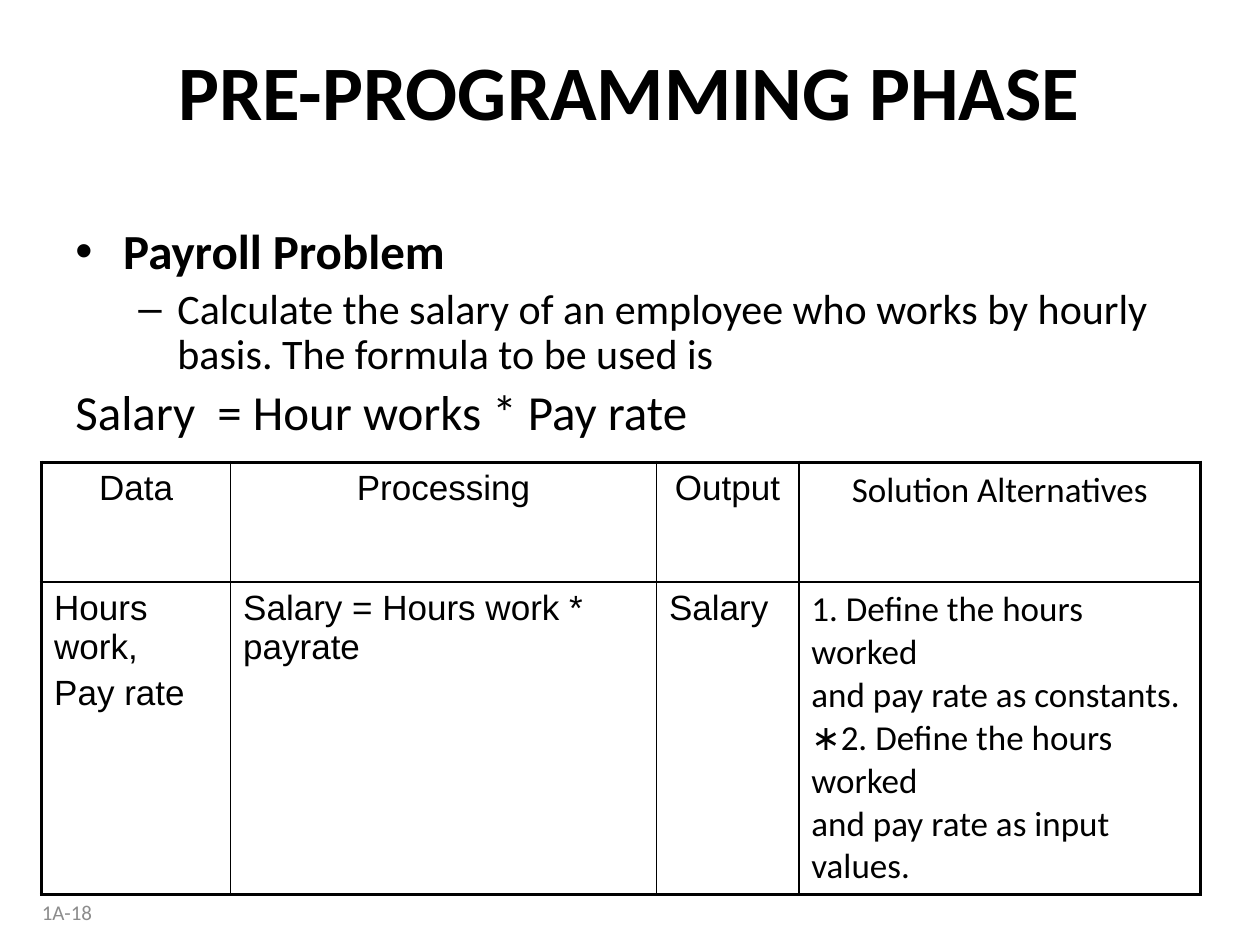
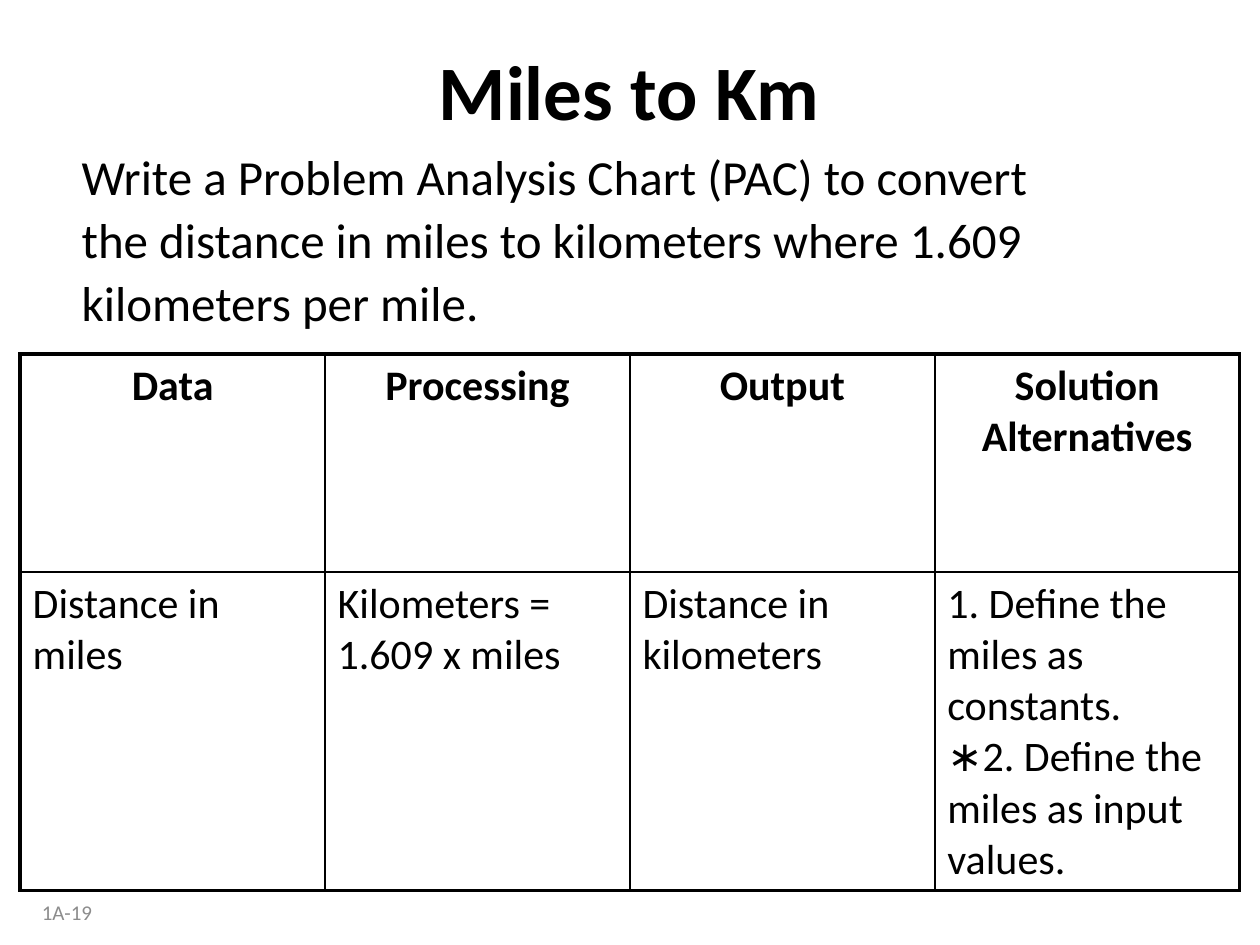
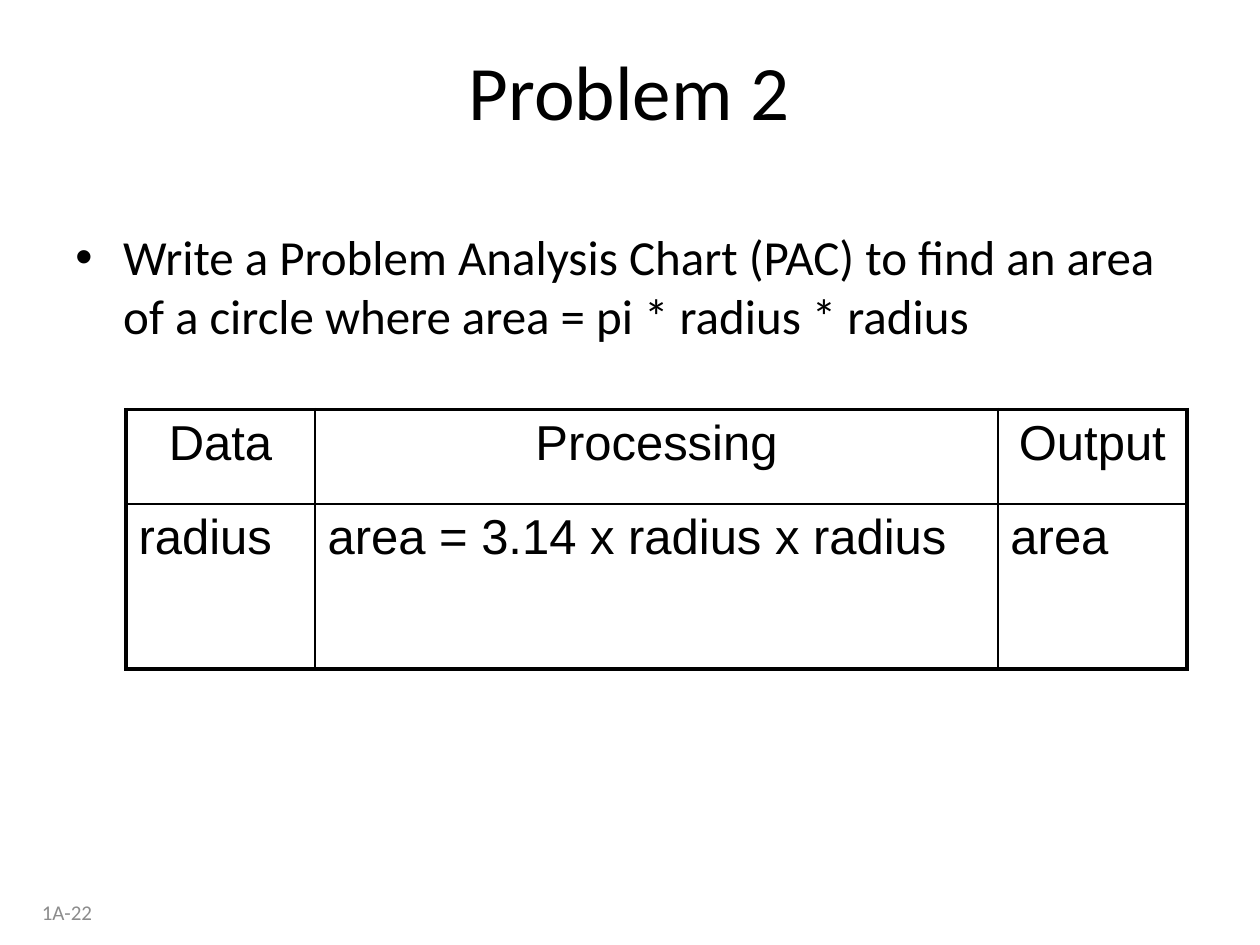
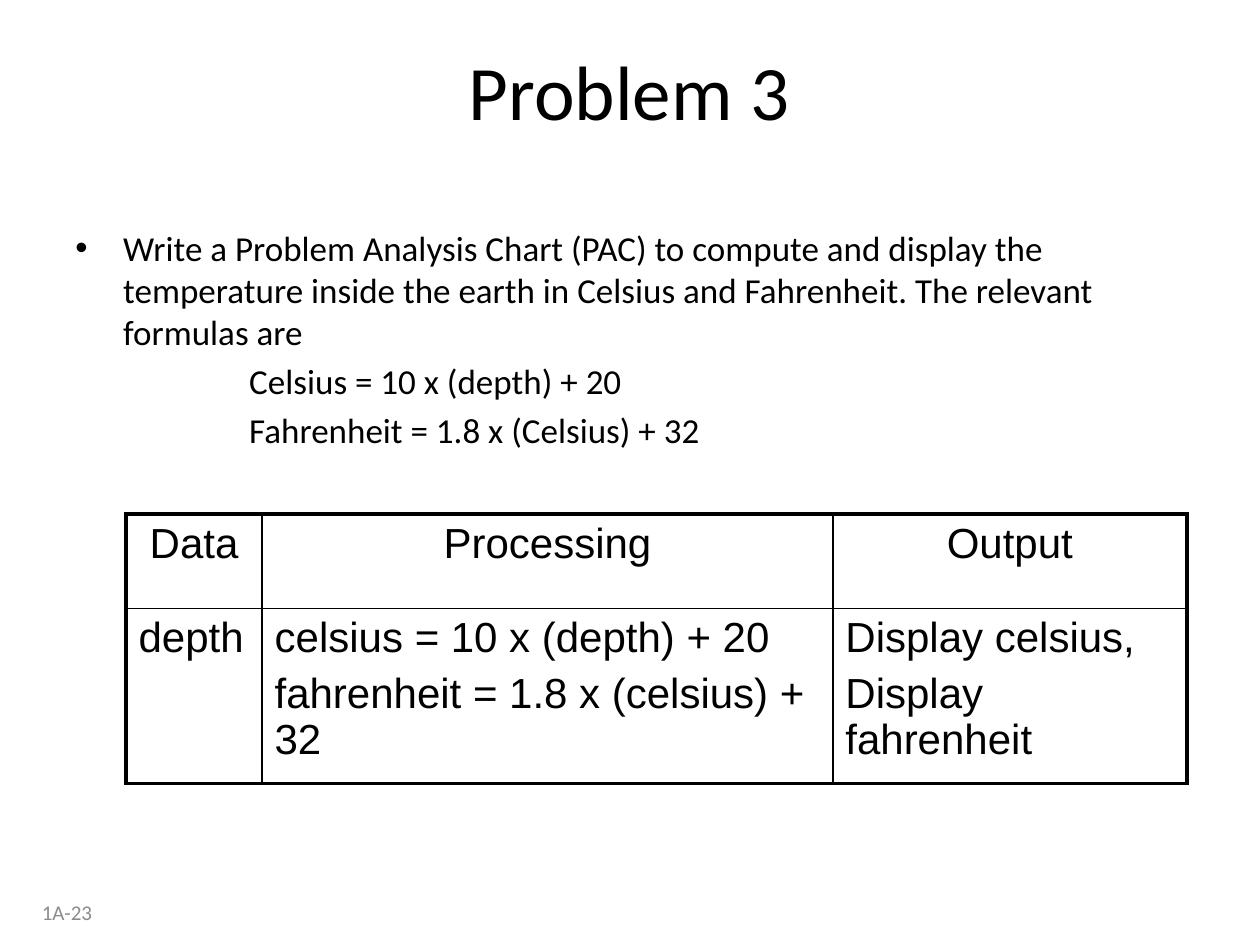
from dataclasses import dataclass

from lxml.etree import SubElement
from pptx import Presentation
from pptx.dml.color import RGBColor as Color
from pptx.enum.text import MSO_ANCHOR as Anchor, PP_ALIGN as Align
from pptx.oxml.ns import qn
from pptx.util import Inches, Pt


@dataclass(frozen=True)
class Theme:
    ink: str = "000000"
    muted: str = "8C8C8C"
    text_font: str = "Calibri"
    table_font: str = "Arial"
    title_size: int = 44
    large: int = 28
    medium: int = 24
    small: int = 20
    footer_size: int = 12
    outer_line: float = 2.25
    inner_line: float = 1
    space_share: float = 0.2


theme = Theme()

# Paragraph kinds: left margin, first-line indent, bullet character
KINDS = {
    "plain": (0, 0, None),
    "bullet": (0.38, -0.38, "•"),
    "dash": (0.81, -0.31, "–"),
    "formula": (1.38, 0, None),
}

PAGES = [
    {
        "title": "PRE-PROGRAMMING PHASE", "title_bold": True, "number": "1A-18",
        "body_at": (0.5, 1.75, 9, 1.92), "line_spacing": 0.9,
        "body": [
            ("bullet", theme.large, True, "Payroll Problem"),
            ("dash", theme.medium, False,
             "Calculate the salary of an employee who works by hourly basis. "
             "The formula to be used is"),
            ("plain", theme.large, False, "Salary  = Hour works * Pay rate"),
        ],
        "table_at": (0.33, 3.67), "columns": (1.5, 3.38, 1.13, 3.19), "rows": (0.95, 2.48),
        "cell_size": theme.small, "header_bold": False,
        "column_fonts": [theme.table_font] * 3 + [theme.text_font],
        "cells": [
            ["Data", "Processing", "Output", "Solution Alternatives"],
            ["Hours work,\nPay rate", "Salary = Hours work * payrate", "Salary",
             "1. Define the hours worked\vand pay rate as constants.\v"
             "∗2. Define the hours worked\vand pay rate as input values."],
        ],
    },
    {
        "title": "Miles to Km", "title_bold": True, "number": "1A-19",
        "body_at": (0.55, 1.17, 8.83, 1.67), "line_spacing": 0.9,
        "body": [
            ("plain", theme.large, False, "Write a Problem Analysis Chart (PAC) to convert"),
            ("plain", theme.large, False, "the distance in miles to kilometers where 1.609"),
            ("plain", theme.large, False, "kilometers per mile."),
        ],
        "table_at": (0.16, 2.81), "columns": (2.42,) * 4, "rows": (1.73, 2.53),
        "cell_size": theme.medium, "header_bold": True,
        "column_fonts": [theme.text_font] * 4,
        "cells": [
            ["Data", "Processing", "Output", "Solution Alternatives"],
            ["Distance in miles", "Kilometers = 1.609 x miles", "Distance in kilometers",
             "1. Define the miles as constants.\v∗2. Define the miles as input values."],
        ],
    },
    {
        "title": "Problem 2", "title_bold": False, "number": "1A-22",
        "body_at": (0.5, 1.75, 9.17, 1.25), "line_spacing": 1.0,
        "body": [
            ("bullet", theme.large, False,
             "Write a Problem Analysis Chart (PAC) to find an area of a circle "
             "where area = pi * radius * radius"),
        ],
        "table_at": (1, 3.25), "columns": (1.5, 5.42, 1.5), "rows": (0.75, 1.31),
        "cell_size": theme.large, "header_bold": False,
        "column_fonts": [theme.table_font] * 3,
        "cells": [
            ["Data", "Processing", "Output"],
            ["radius", "area = 3.14 x radius x radius", "area"],
        ],
    },
    {
        "title": "Problem 3", "title_bold": False, "number": "1A-23",
        "body_at": (0.5, 1.75, 9.17, 2.08), "line_spacing": 1.0,
        "body": [
            ("bullet", theme.small, False,
             "Write a Problem Analysis Chart (PAC) to compute and display the temperature "
             "inside the earth in Celsius and Fahrenheit. The relevant formulas are"),
            ("formula", theme.small, False, "Celsius = 10 x (depth) + 20"),
            ("formula", theme.small, False, "Fahrenheit = 1.8 x (Celsius) + 32"),
        ],
        "table_at": (1, 4.08), "columns": (1.08, 4.53, 2.81), "rows": (0.75, 1.39),
        "cell_size": theme.medium, "header_bold": False,
        "column_fonts": [theme.table_font] * 3,
        "cells": [
            ["Data", "Processing", "Output"],
            ["depth", "celsius = 10 x (depth) + 20\nfahrenheit = 1.8 x (celsius) + 32",
             "Display celsius,\nDisplay fahrenheit"],
        ],
    },
]


def write(frame, lines, align=Align.LEFT, font=theme.text_font, color=theme.ink, spacing=1.0):
    """Fill a text frame with (kind, size, bold, text) lines, one paragraph each."""
    frame.word_wrap = True
    for index, (kind, size, bold, text) in enumerate(lines):
        para = frame.add_paragraph() if index else frame.paragraphs[0]
        para.text = text
        margin, indent, bullet = KINDS[kind]
        properties = para._p.get_or_add_pPr()
        properties.set("marL", str(Inches(margin)))
        properties.set("indent", str(Inches(indent)))
        if bullet:
            SubElement(properties, qn("a:buFont"), typeface="Arial")
            SubElement(properties, qn("a:buChar"), char=bullet)
        space = Pt(theme.space_share * size) if index else Pt(0)
        layout = {"alignment": align, "line_spacing": spacing, "space_before": space}
        for name, value in layout.items():
            setattr(para, name, value)
        for span in para.runs:
            for name, value in {"name": font, "size": Pt(size), "bold": bold}.items():
                setattr(span.font, name, value)
            span.font.color.rgb = Color.from_string(color)


def add_border(cell, side, width):
    line = SubElement(cell._tc.get_or_add_tcPr(), qn(f"a:ln{side}"), w=str(Pt(width)))
    fill = SubElement(line, qn("a:solidFill"))
    SubElement(fill, qn("a:srgbClr"), val=theme.ink)


deck = Presentation()
deck.slide_width, deck.slide_height = Inches(10), Inches(7.5)

for content in PAGES:
    page = deck.slides.add_slide(deck.slide_layouts[6])

    title = page.shapes.add_textbox(*map(Inches, (0.33, 0.17, 9.33, 1.08))).text_frame
    title.vertical_anchor = Anchor.MIDDLE
    write(title, [("plain", theme.title_size, content["title_bold"], content["title"])],
          Align.CENTER)

    body = page.shapes.add_textbox(*map(Inches, content["body_at"])).text_frame
    write(body, content["body"], spacing=content["line_spacing"])

    widths, heights = content["columns"], content["rows"]
    size = map(Inches, (*content["table_at"], sum(widths), sum(heights)))
    table = page.shapes.add_table(len(heights), len(widths), *size).table
    table.first_row = table.horz_banding = False
    for column, width in zip(table.columns, widths):
        column.width = Inches(width)
    last_row, last_column = len(heights) - 1, len(widths) - 1
    for row, texts in enumerate(content["cells"]):
        table.rows[row].height = Inches(heights[row])
        is_header = row == 0
        for column, text in enumerate(texts):
            cell = table.cell(row, column)
            lines = [("plain", content["cell_size"], is_header and content["header_bold"], line)
                     for line in text.split("\n")]
            write(cell.text_frame, lines, Align.CENTER if is_header else Align.LEFT,
                  content["column_fonts"][column])
            on_edge = {"L": column == 0, "R": column == last_column,
                       "T": row == 0, "B": row == last_row}
            for side, is_outer in on_edge.items():
                add_border(cell, side, theme.outer_line if is_outer else theme.inner_line)
            cell.fill.background()

    # The footer is one line high, so it stays clear of the tallest table
    footer = page.shapes.add_textbox(*map(Inches, (0, 7.14, 0.83, 0.2))).text_frame
    footer.margin_top = footer.margin_bottom = 0
    footer.vertical_anchor = Anchor.MIDDLE
    write(footer, [("plain", theme.footer_size, False, content["number"])],
          Align.RIGHT, color=theme.muted)

deck.save("out.pptx")
